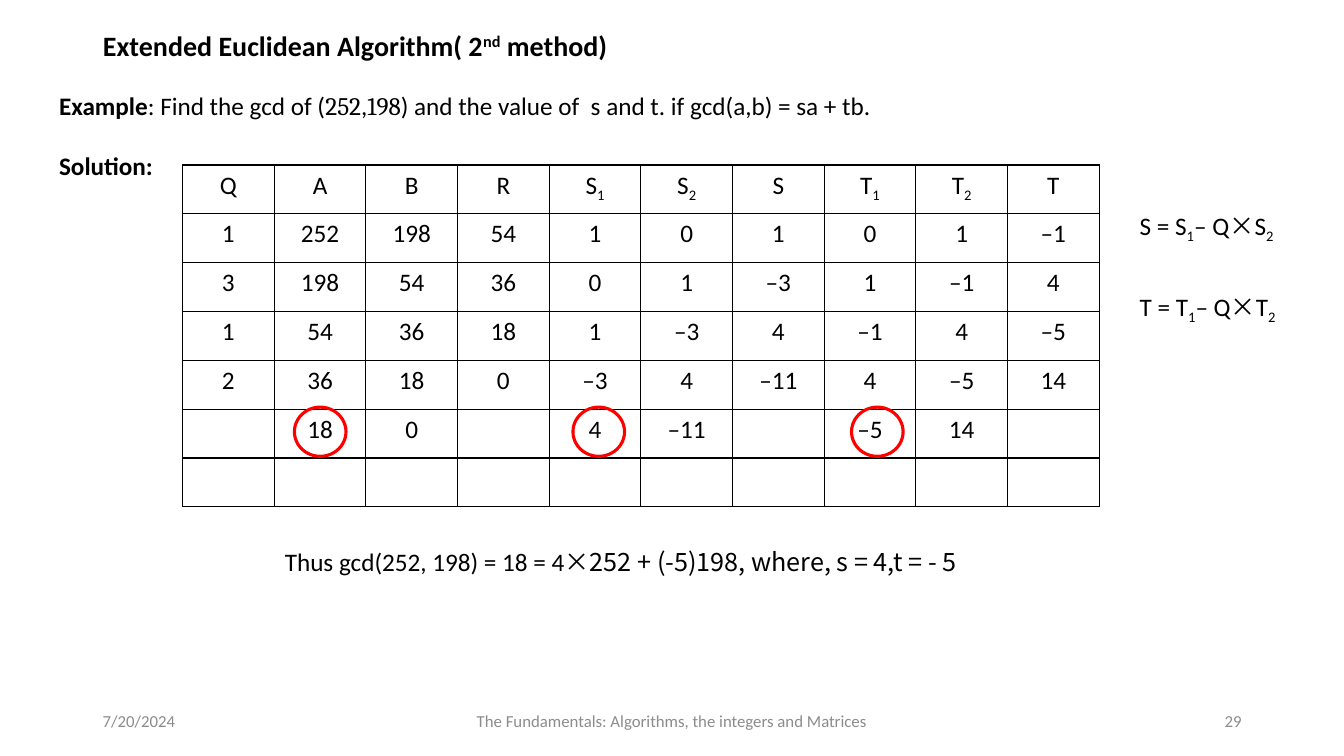
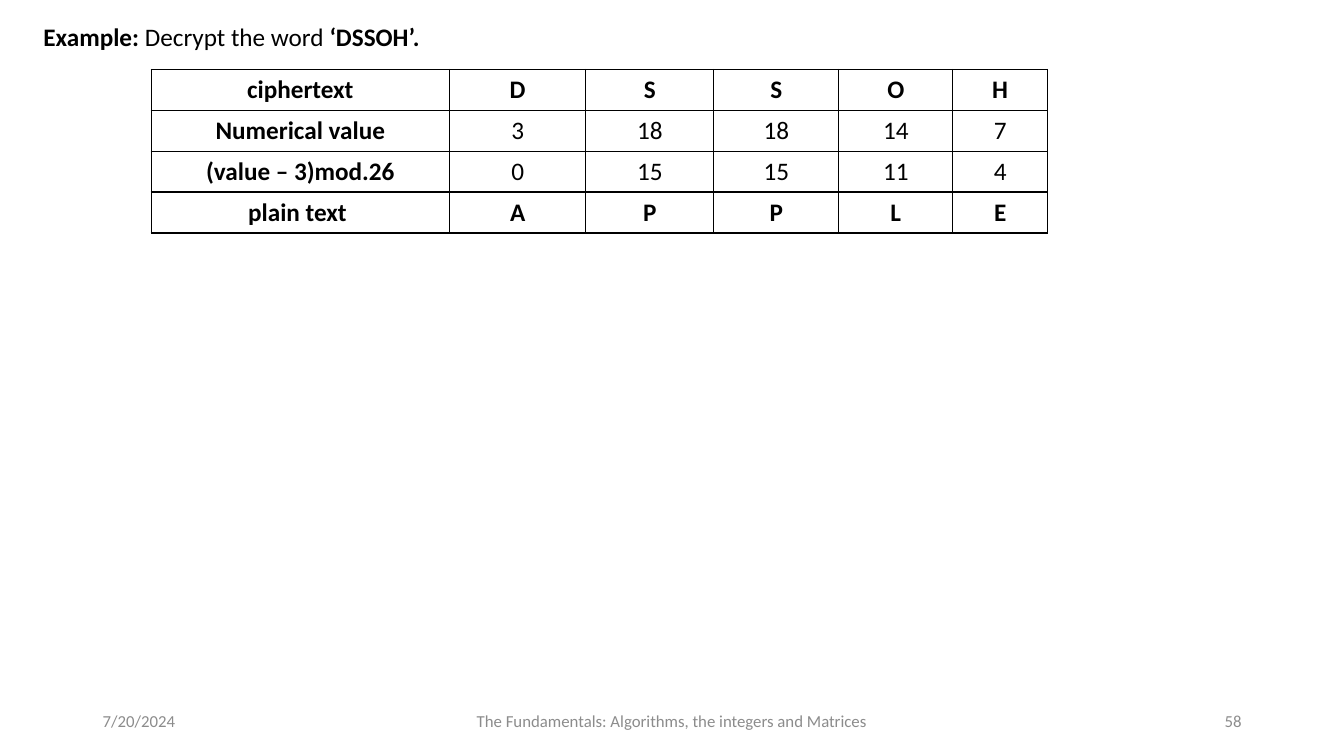
import pptx
import pptx.util
import pptx.dml.color
import pptx.enum.shapes
import pptx.enum.text
import pptx.oxml
import pptx.oxml.ns

Cm, Pt = pptx.util.Cm, pptx.util.Pt
RGB = pptx.dml.color.RGBColor
ALIGN = pptx.enum.text.PP_ALIGN
ANCHOR = pptx.enum.text.MSO_ANCHOR

COLORS = {"text": "000000", "footer": "8C8C8C", "border": "000000", "circle": "FF0000"}
FONTS = {"serif": "Cambria", "math": "Noto Sans CJK SC"}
BASELINES = {"sup": 30000, "bold sup": 30000, "sub": -25000}
FOOTER = "The Fundamentals: Algorithms, the integers and Matrices"


def write(frame, content, size=18, align=ALIGN.LEFT, color="text"):
    """Fill a text frame with a plain string or with (text, style) runs."""
    frame.word_wrap = True
    paragraph = frame.paragraphs[0]
    paragraph.alignment = align
    runs = [(content, "")] if isinstance(content, str) else content
    for text, style in runs:
        run = paragraph.add_run()
        run.text = text
        run.font.size = Pt(size)
        run.font.name = FONTS.get(style, "Calibri")
        run.font.bold = style.startswith("bold")
        run.font.color.rgb = RGB.from_string(COLORS[color])
        if style in BASELINES:
            run._r.get_or_add_rPr().set("baseline", str(BASELINES[style]))


def add_grid(slide, left, top, widths, row_height, rows):
    """Add an unfilled table with thin borders and centred text."""
    table = slide.shapes.add_table(
        len(rows), len(widths), Cm(left), Cm(top),
        Cm(sum(widths)), Cm(row_height * len(rows))).table
    table.first_row = table.horz_banding = False
    for column, width in zip(table.columns, widths):
        column.width = Cm(width)
    for r, row in enumerate(rows):
        table.rows[r].height = Cm(row_height)
        for c, content in enumerate(row):
            cell = table.cell(r, c)
            cell.fill.background()
            if content:
                write(cell.text_frame, content, align=ALIGN.CENTER)
            properties = cell._tc.get_or_add_tcPr()
            for position, side in enumerate(("lnL", "lnR", "lnT", "lnB")):
                properties.insert(position, pptx.oxml.parse_xml(
                    f'<a:{side} {pptx.oxml.ns.nsdecls("a")} w="12700"><a:solidFill>'
                    f'<a:srgbClr val="{COLORS["border"]}"/></a:solidFill></a:{side}>'))


prs = pptx.Presentation()
prs.slide_width, prs.slide_height = Cm(33.87), Cm(19.05)

# Title runs, title box (left, top, width, height), text size, page number
pages = [
    ([("Extended Euclidean Algorithm( 2", "bold"), ("nd", "bold sup"), (" method)", "bold")],
     (2.34, 0.58, 13.39, 1.12), 20, "29"),
    ([("Example: ", "bold"), ("Decrypt the word ", ""), ("‘DSSOH’.", "bold")],
     (0.84, 0.41, 11, 1.02), 18, "58"),
]
slides = []
for heading, box, size, number in pages:
    slide = prs.slides.add_slide(prs.slide_layouts[5])
    slides.append(slide)
    title = slide.shapes.title
    title.left, title.top, title.width, title.height = map(Cm, box)
    title.text_frame.auto_size = pptx.enum.text.MSO_AUTO_SIZE.NONE
    title.text_frame.vertical_anchor = ANCHOR.TOP
    write(title.text_frame, heading, size)
    for text, left, width, align in [
        ("7/20/2024", 2.34, 7.62, ALIGN.LEFT),
        (FOOTER, 11.22, 11.43, ALIGN.CENTER),
        (number, 23.92, 7.62, ALIGN.RIGHT),
    ]:
        footer = slide.shapes.add_textbox(Cm(left), Cm(17.65), Cm(width), Cm(1.01)).text_frame
        footer.vertical_anchor = ANCHOR.MIDDLE
        write(footer, text, 12, align, "footer")

euclid, cipher = slides

# Extended Euclidean algorithm
question = [("Example", "bold"), (": Find the gcd of (", ""), ("252", "serif"), (",", ""),
            ("198", "serif"), (") and the value of  s and t. if gcd(a,b) = sa + tb.", "")]
conclusion = [("Thus gcd(252, 198) = 18 = 4", ""),
              ("×252 + (-5)198, where, s = 4,t = - 5 ", "math")]
statements = [
    (question, 1.24, 2.16, 23.9, ALIGN.LEFT),
    ([("Solution:", "bold")], 1.24, 3.66, 3.2, ALIGN.LEFT),
    (conclusion, 5.89, 13.64, 19.66, ALIGN.CENTER),
]
for letter, top in (("S", 5.18), ("T", 7.21)):
    formula = [(f"{letter} = {letter}", ""), ("1", "sub"), ("– Q", ""),
               ("×", "math"), (letter, ""), ("2", "sub")]
    statements.append((formula, 28.47, top, 4.5, ALIGN.LEFT))
for content, left, top, width, align in statements:
    statement = euclid.shapes.add_textbox(Cm(left), Cm(top), Cm(width), Cm(1.02))
    write(statement.text_frame, content, align=align)

s1, s2, t1, t2 = [[(letter, ""), (index, "sub")] for letter in "ST" for index in "12"]
add_grid(euclid, 4.6, 4.16, [2.31] * 10, 1.23, [
    ["Q", "A", "B", "R", s1, s2, "S", t1, t2, "T"],
    ["1", "252", "198", "54", "1", "0", "1", "0", "1", "–1"],
    ["3", "198", "54", "36", "0", "1", "–3", "1", "–1", "4"],
    ["1", "54", "36", "18", "1", "–3", "4", "–1", "4", "–5"],
    ["2", "36", "18", "0", "–3", "4", "–11", "4", "–5", "14"],
    ["", "18", "0", "", "4", "–11", "", "–5", "14", ""],
    [""] * 10,
])
for position in range(3):
    circle = euclid.shapes.add_shape(
        pptx.enum.shapes.MSO_SHAPE.OVAL,
        Cm(7.42 + 7.02 * position), Cm(10.26), Cm(1.3), Cm(1.24))
    circle.shadow.inherit = False
    circle.fill.background()
    circle.line.color.rgb = RGB.from_string(COLORS["circle"])
    circle.line.width = Pt(2.25)

# Decryption by shifting
cipher_rows = [
    [[(text, "bold")] for text in ("ciphertext", *"DSSOH")],
    [[("Numerical value", "bold")], "3", "18", "18", "14", "7"],
    [[("(value – 3)mod.26", "bold")], "0", "15", "15", "11", "4"],
    [[(text, "bold")] for text in ("plain text ", *"APPLE")],
]
add_grid(cipher, 3.81, 1.75, [7.52, 3.43, 3.23, 3.15, 2.87, 2.39], 1.03, cipher_rows)

prs.save("out.pptx")
